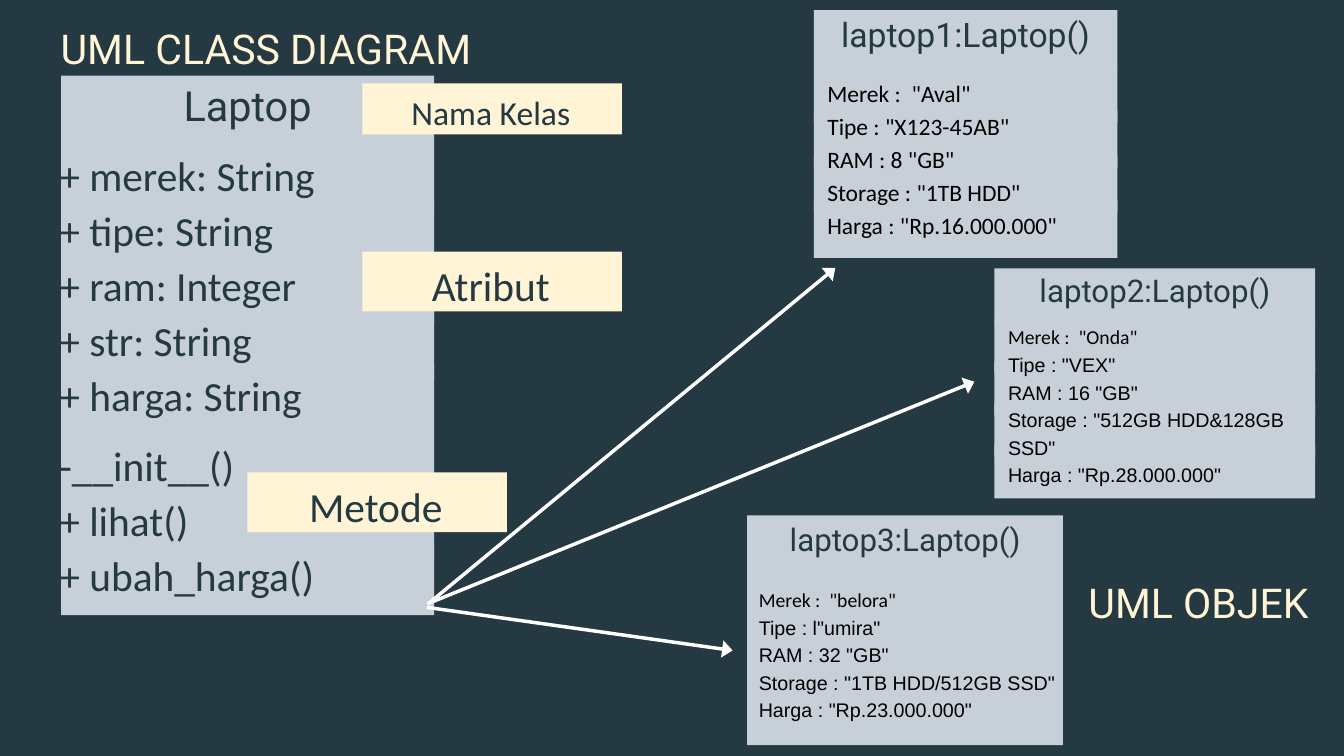
import dataclasses

import lxml.etree
import pptx
import pptx.dml.color
import pptx.enum.shapes
import pptx.enum.text
import pptx.oxml
import pptx.oxml.ns
import pptx.util

Cm = pptx.util.Cm
Pt = pptx.util.Pt
Align = pptx.enum.text.PP_ALIGN
qn = pptx.oxml.ns.qn


@dataclasses.dataclass(frozen=True)
class Theme:
    dark: str = "253943"
    panel: str = "C7D0D8"
    cream: str = "FFF5D6"
    white: str = "FFFFFF"
    black: str = "000000"
    head: str = "Roboto"
    body: str = "Calibri"
    alt: str = "Arial"
    title: float = 44
    large: float = 44.4
    tag: float = 36
    name: float = 36.1
    small: float = 33.5
    value: float = 25.2
    detail: float = 21.13
    tight: float = 0.85  # line pitch of headings, as a share of type size
    loose: float = 1.4  # line pitch of values and tags
    line: float = 3.75


THEME = Theme()
LAP = 0.04  # rows reach this far over the part above, so no seam shows
ATTRS = ["+ merek: String", "+ tipe: String", "+ ram: Integer",
         "+ str: String", "+ harga: String"]
METHODS = ["-__init__()", "+ lihat()", "+ ubah_harga()"]


@dataclasses.dataclass(frozen=True)
class Item:
    """One object card: its box, its heading and its list of values."""
    name: str
    box: tuple
    head: float
    drop: float
    size: float
    area: tuple
    font: str
    step: float
    values: list


ITEMS = [
    Item("laptop1:Laptop()", (30.76, 0.38, 11.48, 9.37), 2.13, 0.58, THEME.name,
         (31.27, 2.82, 10.49, 6.1), THEME.body, THEME.value,
         ['Merek :  "Aval"', 'Tipe : "X123-45AB"', 'RAM : 8 "GB"',
          'Storage : "1TB HDD"', 'Harga : "Rp.16.000.000"']),
    Item("laptop2:Laptop()", (37.59, 10.15, 12.12, 8.69), 1.98, 0.52, THEME.small,
         (38.1, 12.14, 11.61, 6.2), THEME.alt, THEME.detail,
         ['Merek :  "Onda"', 'Tipe : "VEX"', 'RAM : 16 "GB"',
          'Storage : "512GB HDD&128GB SSD"', 'Harga : "Rp.28.000.000"']),
    Item("laptop3:Laptop()", (28.24, 19.48, 11.94, 8.69), 1.98, 0.61, THEME.small,
         (28.68, 22.07, 11.81, 5.16), THEME.alt, THEME.detail,
         ['Merek :  "belora"', 'Tipe : l"umira"', 'RAM : 32 "GB"',
          'Storage : "1TB HDD/512GB SSD"', 'Harga : "Rp.23.000.000"']),
]


def rgb(code):
    return pptx.dml.color.RGBColor.from_string(code)


def style(para, size, font, color, pitch, align=Align.LEFT):
    para.font.size = Pt(size)
    para.font.name = font
    para.font.bold = False
    para.font.color.rgb = rgb(color)
    para.line_spacing = Pt(round(size * pitch, 1))
    para.space_before = para.space_after = Pt(0)
    para.alignment = align


def write(shape, lines, drop=0):
    """Fill a shape with lines of text, set from its top edge."""
    frame = shape.text_frame
    frame.word_wrap = True
    frame.auto_size = pptx.enum.text.MSO_AUTO_SIZE.NONE
    frame.vertical_anchor = pptx.enum.text.MSO_ANCHOR.TOP
    frame.margin_left = frame.margin_right = frame.margin_bottom = 0
    frame.margin_top = Cm(drop)
    frame.text = "\n".join(lines)
    return frame.paragraphs


def place(holder, box):
    """Move a placeholder to its box, in front of what is drawn so far."""
    holder.left, holder.top, holder.width, holder.height = map(Cm, box)
    holder.element.getparent().append(holder.element)


def block(slide, box, color):
    kind = pptx.enum.shapes.MSO_SHAPE.RECTANGLE
    shape = slide.shapes.add_shape(kind, *map(Cm, box))
    shape.shadow.inherit = False
    shape.fill.solid()
    shape.fill.fore_color.rgb = rgb(color)
    shape.line.fill.background()
    return shape


def stack(slide, box, count, height):
    """Spread overlapping rows of one height evenly over a box."""
    left, top, width, total = box
    step = (total - height) / (count - 1)
    for row in range(count):
        block(slide, (left, top + row * step - LAP, width, height + LAP), THEME.panel)


def label(shape, text, size, font, color, pitch, drop=0):
    para, = write(shape, [text], drop)
    style(para, size, font, color, pitch, Align.CENTER)


def roster(holder, box, lines, size, color, pitch):
    """Set a body placeholder as a list without bullets."""
    place(holder, box)
    paras = write(holder, lines)
    for para in paras:
        style(para, size, THEME.body, color, pitch)
        props = para._p.get_or_add_pPr()
        props.set("marL", "0")
        props.set("indent", "0")
        none = props.makeelement(qn("a:buNone"), {})
        props.find(qn("a:defRPr")).addprevious(none)
    return paras


def arrow(slide, start, end):
    kind = pptx.enum.shapes.MSO_CONNECTOR.STRAIGHT
    link = slide.shapes.add_connector(kind, *map(Cm, start + end))
    link.line.color.rgb = rgb(THEME.white)
    link.line.width = Pt(THEME.line)
    lxml.etree.SubElement(link.line._get_or_add_ln(), qn("a:tailEnd"),
                          type="triangle", w="lg", len="med")
    lxml.etree.SubElement(link._element.spPr, qn("a:effectLst"))


def diagram(slide, holder):
    left, width, row = 2.31, 14.1, 2.63
    head = block(slide, (left, 2.86, width, row), THEME.panel)
    stack(slide, (left, 5.49, width, 10.94), len(ATTRS), row)
    stack(slide, (left, 16.43, width, 6.83), len(METHODS), row)
    label(head, "Laptop", THEME.large, THEME.head, THEME.dark, THEME.tight, 0.7)
    paras = roster(holder, (2.24, 6.22, 14.2, 16.8), ATTRS + METHODS,
                   THEME.large, THEME.dark, THEME.tight)
    for para in paras:
        para.space_after = Pt(21.2)
    paras[len(ATTRS) - 1].space_after = Pt(37.2)


def tags(slide):
    for text, left, top, height, size, drop in [
            ("Nama Kelas", 13.7, 3.15, 1.93, THEME.tag, 0.06),
            ("Atribut", 13.7, 9.51, 2.26, THEME.large, 0),
            ("Metode", 9.35, 17.86, 2.26, THEME.large, 0)]:
        shape = block(slide, (left, top, 9.81, height), THEME.cream)
        label(shape, text, size, THEME.body, THEME.dark, THEME.loose, drop)
        shape.text_frame.margin_right = Cm(0.1)


def card(slide, holder, item):
    left, top, width, height = item.box
    head = block(slide, (left, top, width, item.head), THEME.panel)
    rest = (left, top + item.head, width, height - item.head)
    stack(slide, rest, len(item.values) - 1, item.head)
    label(head, item.name, item.size, THEME.head, THEME.dark, THEME.tight, item.drop)
    paras = roster(holder, item.area, item.values, item.step, THEME.black, THEME.loose)
    for para in paras[1:]:
        para.font.name = item.font


def main():
    deck = pptx.Presentation()
    deck.slide_width, deck.slide_height = Cm(50.8), Cm(28.58)
    slide = deck.slides.add_slide(deck.slide_layouts.get_by_name("Comparison"))
    slide.background.fill.solid()
    slide.background.fill.fore_color.rgb = rgb(THEME.dark)
    title, first, *rest = list(slide.placeholders)[:5]

    diagram(slide, first)
    place(title, (0.94, 1.42, 18.24, 1.45))
    label(title, "UML CLASS DIAGRAM", THEME.title, THEME.head, THEME.cream, THEME.tight)
    tags(slide)
    for holder, item in zip(rest, ITEMS):
        card(slide, holder, item)
    for start, end in [((16.18, 22.83), (31.57, 10.13)),
                       ((16.15, 22.83), (36.83, 14.43)),
                       ((16.13, 22.96), (27.69, 24.59))]:
        arrow(slide, start, end)
    note = slide.shapes.add_textbox(*map(Cm, (40.31, 22.38, 10, 1.45)))
    label(note, "UML OBJEK", THEME.title, THEME.head, THEME.cream, THEME.tight)
    deck.save("out.pptx")


if __name__ == "__main__":
    main()
